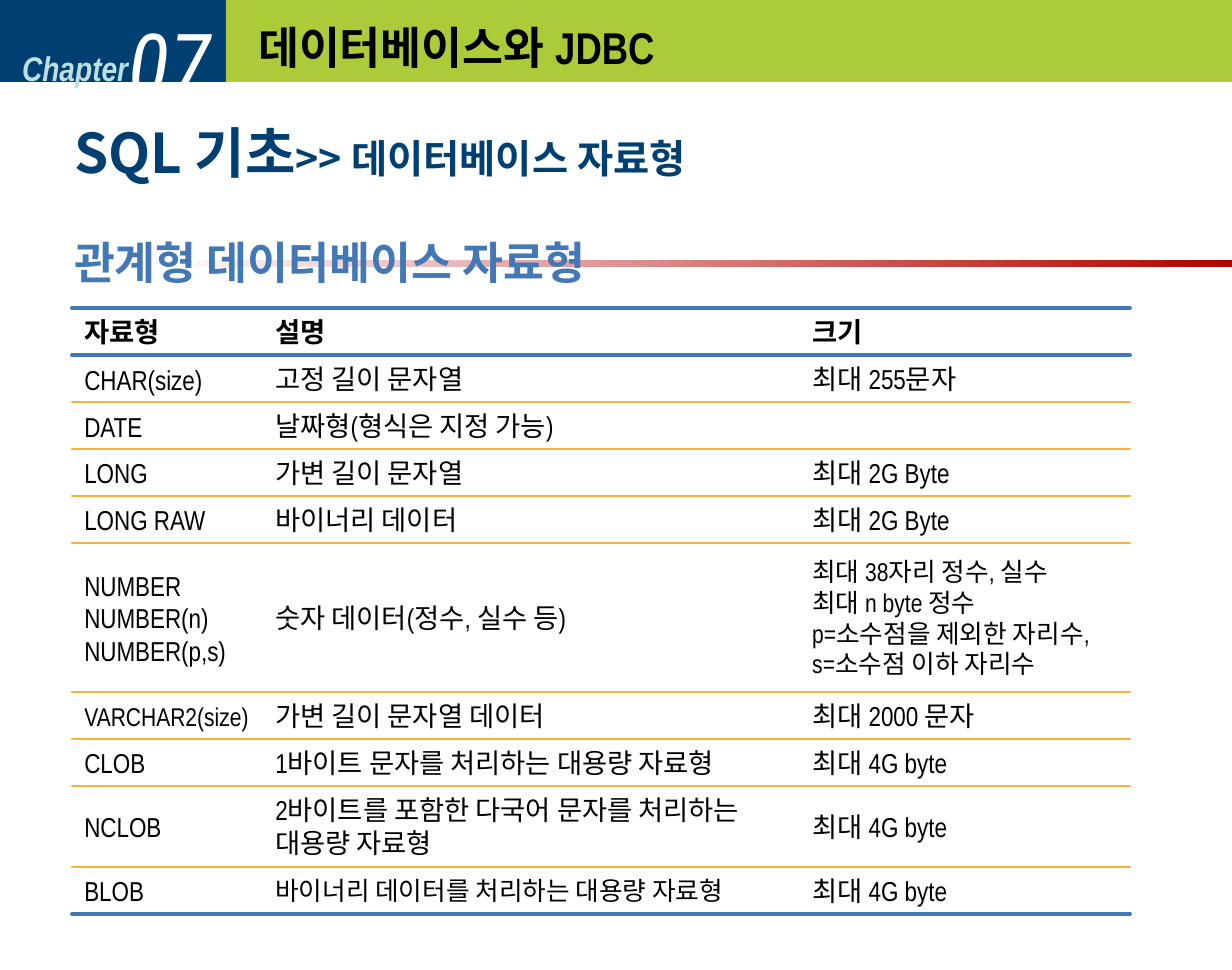
from dataclasses import dataclass
from itertools import accumulate

from pptx import Presentation
from pptx import util as u
from pptx.dml.color import RGBColor
from pptx.enum import shapes, text
from pptx.oxml import parse_xml
from pptx.oxml.ns import nsdecls

SCALE = u.Inches(10) / 1232
NAVY = RGBColor(0x00, 0x3F, 0x71)
LIME = RGBColor(0xAC, 0xCB, 0x39)
PALE = RGBColor(0xBB, 0xE0, 0xE3)
BLUE = RGBColor(0x43, 0x78, 0xB6)
ORANGE = RGBColor(0xF9, 0xB1, 0x3B)
RED = RGBColor(0xB2, 0x00, 0x00)
WHITE = RGBColor(0xFF, 0xFF, 0xFF)
BLACK = RGBColor(0x00, 0x00, 0x00)
NARROW = "Arial Narrow"
CONDENSED = "Roboto Condensed"
GOTHIC = "Noto Sans CJK KR"


@dataclass(frozen=True)
class Box:
    left: int
    top: int
    width: int
    height: int

    def emu(self) -> tuple[int, ...]:
        return tuple(px(n) for n in (self.left, self.top, self.width, self.height))


@dataclass(frozen=True)
class DataType:
    name: str
    meaning: str
    limit: str
    height: int = 47
    sizes: tuple[int, int, int] = (16, 16, 16)
    bold: bool = False


DATA_TYPES = [
    DataType("자료형", "설명", "크기", bold=True),
    DataType("CHAR(size)", "고정 길이 문자열", "최대 255문자"),
    DataType("DATE", "날짜형(형식은 지정 가능)", ""),
    DataType("LONG", "가변 길이 문자열", "최대 2G Byte"),
    DataType("LONG RAW", "바이너리 데이터", "최대 2G Byte"),
    DataType("NUMBER\nNUMBER(n)\nNUMBER(p,s)", "숫자 데이터(정수, 실수 등)",
             "최대 38자리 정수, 실수\n최대 n byte 정수\n"
             "p=소수점을 제외한 자리수, s=소수점 이하 자리수",
             height=149, sizes=(16, 16, 15)),
    DataType("VARCHAR2(size)", "가변 길이 문자열 데이터", "최대 2000 문자",
             sizes=(15, 16, 16)),
    DataType("CLOB", "1바이트 문자를 처리하는 대용량 자료형", "최대 4G byte"),
    DataType("NCLOB", "2바이트를 포함한 다국어 문자를 처리하는\n대용량 자료형",
             "최대 4G byte", height=81),
    DataType("BLOB", "바이너리 데이터를 처리하는 대용량 자료형", "최대 4G byte",
             sizes=(16, 15, 16)),
]
COLUMN_WIDTHS = (191, 537, 330)


def px(length: int) -> int:
    return round(length * SCALE)


def write(paragraph, words: str, *, size: int, color: RGBColor = BLACK,
          font: str = NARROW, bold: bool = False, italic: bool = False) -> None:
    run = paragraph.add_run()
    run.text = words
    run.font.size = u.Pt(size)
    run.font.name = font
    run.font.bold = bold
    run.font.italic = italic
    run.font.color.rgb = color
    if font == GOTHIC:
        run.font._element.append(
            parse_xml(f'<a:ea {nsdecls("a")} typeface="{font}"/>'))


def add_frame(slide, box: Box, anchor=text.MSO_ANCHOR.MIDDLE):
    frame = slide.shapes.add_textbox(*box.emu()).text_frame
    frame.word_wrap = True
    frame.vertical_anchor = anchor
    return frame


def add_bar(slide, box: Box, color: RGBColor, fade: bool = False) -> None:
    bar = slide.shapes.add_shape(shapes.MSO_SHAPE.RECTANGLE, *box.emu())
    bar.shadow.inherit = False
    bar.line.fill.background()
    if fade:
        bar.fill.gradient()
        bar.fill.gradient_angle = 180
        for stop, shade, position in zip(bar.fill.gradient_stops, (color, WHITE), (0, 1)):
            stop.color.rgb = shade
            stop.position = position
    else:
        bar.fill.solid()
        bar.fill.fore_color.rgb = color


def add_rule(slide, left: int, right: int, y: int, color: RGBColor, weight: float) -> None:
    rule = slide.shapes.add_connector(
        shapes.MSO_CONNECTOR.STRAIGHT, px(left), px(y), px(right), px(y))
    rule.line.color.rgb = color
    rule.line.width = u.Pt(weight)
    rule.line._get_or_add_ln().set("cap", "rnd")
    rule._element.spPr.append(parse_xml(f'<a:effectLst {nsdecls("a")}/>'))


def clear_cell(cell) -> None:
    properties = cell._tc.get_or_add_tcPr()
    for side in "LRTB":
        properties.append(parse_xml(
            f'<a:ln{side} {nsdecls("a")} w="0"><a:noFill/></a:ln{side}>'))
    cell.fill.background()


def add_type_table(slide, left: int, top: int, entries: list[DataType]) -> None:
    box = Box(left, top, sum(COLUMN_WIDTHS), sum(e.height for e in entries))
    grid = slide.shapes.add_table(len(entries), len(COLUMN_WIDTHS), *box.emu()).table
    grid.horz_banding = False
    for column, width in zip(grid.columns, COLUMN_WIDTHS):
        column.width = px(width)
    for row, entry in zip(grid.rows, entries):
        row.height = px(entry.height)
        contents = (entry.name, entry.meaning, entry.limit)
        for cell, words, size in zip(row.cells, contents, entry.sizes):
            cell.vertical_anchor = text.MSO_ANCHOR.MIDDLE
            cell.margin_top = px(2 if words.isascii() else 5)
            cell.margin_bottom = 0
            clear_cell(cell)
            for number, line in enumerate(words.split("\n") if words else []):
                frame = cell.text_frame
                paragraph = frame.add_paragraph() if number else frame.paragraphs[0]
                paragraph.line_spacing = u.Pt(size * 1.2)
                write(paragraph, line, size=size, bold=entry.bold)
    edges = list(accumulate((e.height for e in entries), initial=top))
    for index, y in enumerate(edges):
        framing = index in (0, 1, len(entries))
        color, weight = (BLUE, 2.25) if framing else (ORANGE, 1.5)
        add_rule(slide, left, left + box.width, y, color, weight)


def main() -> None:
    deck = Presentation()
    deck.slide_width, deck.slide_height = px(1232), px(970)
    slide = deck.slides.add_slide(deck.slide_layouts[6])

    add_bar(slide, Box(0, 0, 226, 82), NAVY)
    chapter = add_frame(slide, Box(10, 31, 195, 74))
    write(chapter.paragraphs[0], "Chapter", size=20, color=PALE, bold=True, italic=True)
    number = add_frame(slide, Box(116, 10, 123, 102))
    write(number.paragraphs[0], "07", size=50, color=WHITE, font=CONDENSED, italic=True)
    add_bar(slide, Box(226, 0, 1006, 82), LIME)

    add_type_table(slide, 72, 308, DATA_TYPES)

    title = add_frame(slide, Box(246, 10, 965, 74))
    write(title.paragraphs[0], "데이터베이스와 JDBC", size=26, bold=True)

    add_bar(slide, Box(154, 260, 1078, 7), RED, fade=True)

    headings = add_frame(slide, Box(62, 113, 1109, 190), text.MSO_ANCHOR.TOP)
    topic = headings.paragraphs[0]
    topic.line_spacing = u.Pt(38)
    write(topic, "SQL 기초", size=32, color=NAVY, font=GOTHIC, bold=True)
    write(topic, ">> 데이터베이스 자료형", size=23, color=NAVY, font=GOTHIC, bold=True)
    subtopic = headings.add_paragraph()
    subtopic.line_spacing = u.Pt(31)
    subtopic.space_before = u.Pt(30)
    write(subtopic, "관계형 데이터베이스 자료형", size=26, color=BLUE, font=GOTHIC, bold=True)

    deck.save("out.pptx")


if __name__ == "__main__":
    main()
